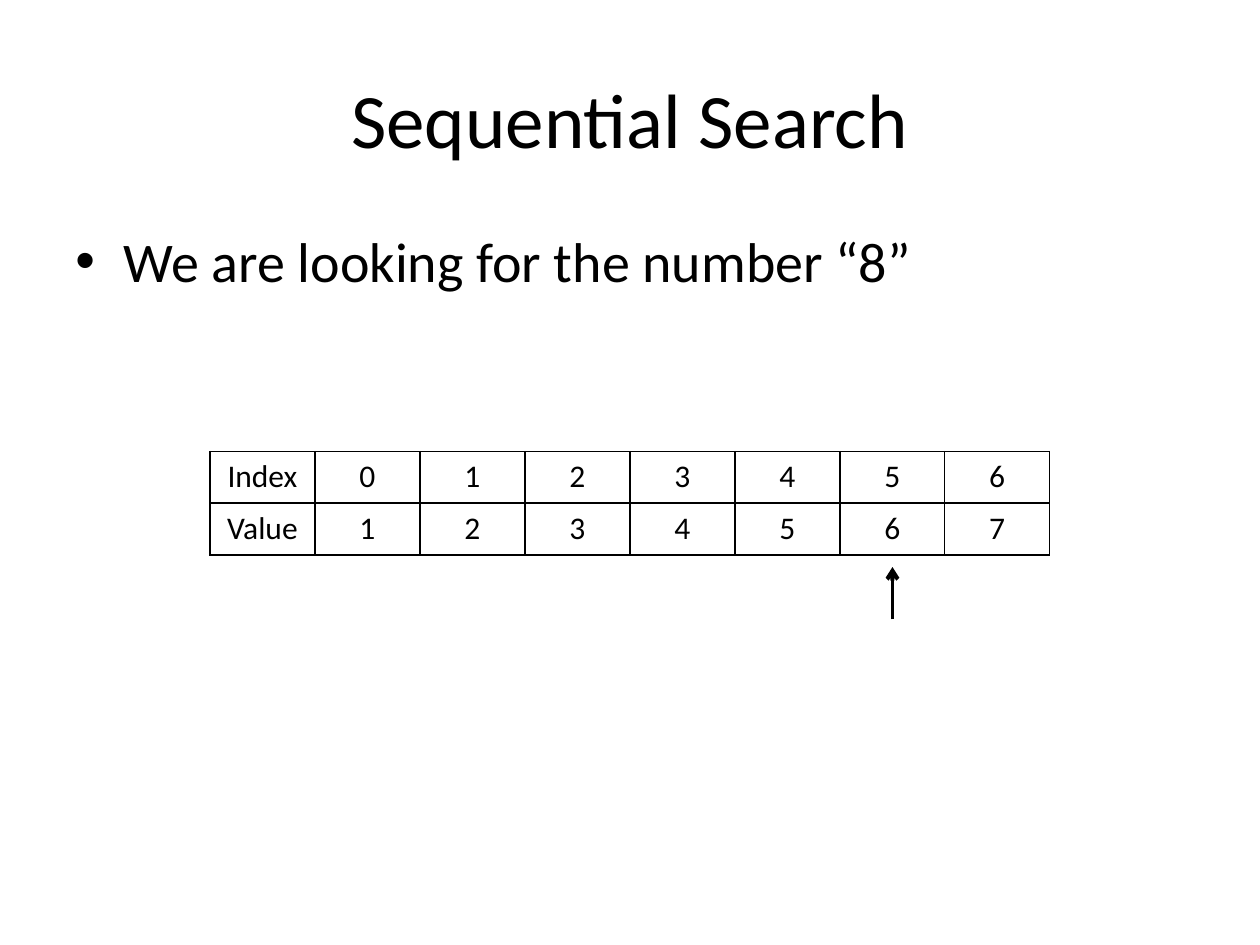
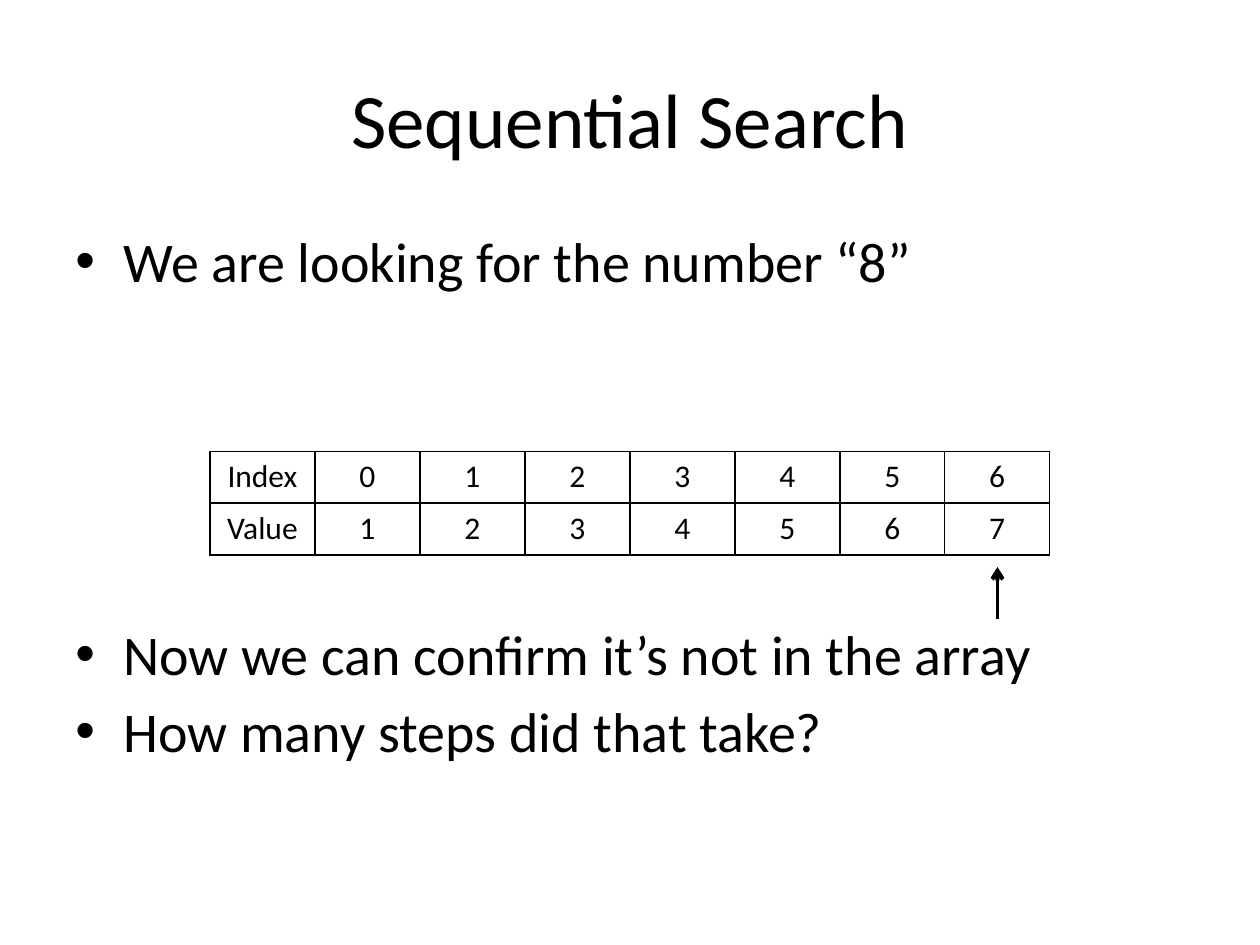
from dataclasses import dataclass

from lxml.etree import SubElement
from pptx import Presentation
from pptx.dml.color import RGBColor
from pptx.enum.shapes import MSO_CONNECTOR
from pptx.enum.text import MSO_ANCHOR, PP_ALIGN
from pptx.oxml.ns import qn
from pptx.util import Inches, Pt

COLORS = {"ink": "000000", "paper": "FFFFFF"}
FONT = "Calibri"
WIDTH, HEIGHT = Inches(10), Inches(7.5)
COLUMN, ROW = WIDTH / 12, HEIGHT / 90
TABLE_LEFT, TABLE_TOP = 2, 43
ARROW_TIP, ARROW_FOOT = 54, 59
CELL_HEIGHT = Inches(0.41)
INDENT = Inches(0.38)
BULLET_GAP, TABLE_GAP = Pt(6), Pt(186)
ARRAY = [
    ["Index", "0", "1", "2", "3", "4", "5", "6"],
    ["Value", "1", "2", "3", "4", "5", "6", "7"],
]


@dataclass(frozen=True)
class Area:
    left: float
    top: float
    width: float
    height: float


@dataclass(frozen=True)
class Step:
    checked_index: int
    conclusions: tuple[str, ...] = ()


TITLE_AREA = Area(0.05, 0.04, 0.9, 0.17)
BODY_AREA = Area(0.05, 0.233, 0.9, 0.66)
STEPS = [
    Step(5),
    Step(6, ("Now we can confirm it’s not in the array", "How many steps did that take?")),
]


def ink() -> RGBColor:
    return RGBColor.from_string(COLORS["ink"])


def add_span(para, text: str, size: int) -> None:
    span = para.add_run()
    span.text = text
    span.font.name = FONT
    span.font.size = Pt(size)
    span.font.color.rgb = ink()


def add_box(page, area: Area, anchor: MSO_ANCHOR):
    box = page.shapes.add_textbox(
        round(area.left * WIDTH), round(area.top * HEIGHT),
        round(area.width * WIDTH), round(area.height * HEIGHT),
    )
    frame = box.text_frame
    frame.word_wrap = True
    frame.vertical_anchor = anchor
    return frame


def add_title(page) -> None:
    para = add_box(page, TITLE_AREA, MSO_ANCHOR.MIDDLE).paragraphs[0]
    para.alignment = PP_ALIGN.CENTER
    add_span(para, "Sequential Search", 44)


def add_bullet(para, text: str, gap: Pt) -> None:
    para.space_before = gap
    properties = para._p.get_or_add_pPr()
    properties.set("marL", str(INDENT))
    properties.set("indent", str(-INDENT))
    SubElement(properties, qn("a:buFont")).set("typeface", "Arial")
    SubElement(properties, qn("a:buChar")).set("char", "•")
    add_span(para, text, 32)


def add_body(page, conclusions: tuple[str, ...]) -> None:
    frame = add_box(page, BODY_AREA, MSO_ANCHOR.TOP)
    add_bullet(frame.paragraphs[0], "We are looking for the number “8”", BULLET_GAP)
    for number, text in enumerate(conclusions):
        add_bullet(frame.add_paragraph(), text, BULLET_GAP if number else TABLE_GAP)


def add_borders(cell) -> None:
    properties = cell._tc.get_or_add_tcPr()
    for position, side in enumerate(("lnL", "lnR", "lnT", "lnB")):
        line = SubElement(properties, qn(f"a:{side}"), w=str(Pt(1)))
        fill = SubElement(line, qn("a:solidFill"))
        SubElement(fill, qn("a:srgbClr")).set("val", COLORS["ink"])
        properties.insert(position, line)


def add_array(page) -> None:
    rows, columns = len(ARRAY), len(ARRAY[0])
    table = page.shapes.add_table(
        rows, columns, round(TABLE_LEFT * COLUMN), round(TABLE_TOP * ROW),
        round(columns * COLUMN), rows * CELL_HEIGHT,
    ).table
    table.first_row = False
    table.horz_banding = False
    for row, values in enumerate(ARRAY):
        for column, value in enumerate(values):
            cell = table.cell(row, column)
            cell.fill.background()
            add_borders(cell)
            para = cell.text_frame.paragraphs[0]
            para.alignment = PP_ALIGN.CENTER
            add_span(para, value, 18)


def add_pointer(page, index: int) -> None:
    center = round((TABLE_LEFT + 1 + index + 0.5) * COLUMN)
    pointer = page.shapes.add_connector(
        MSO_CONNECTOR.STRAIGHT, center, round(ARROW_FOOT * ROW), center, round(ARROW_TIP * ROW)
    )
    pointer.line.color.rgb = ink()
    pointer.line.width = Pt(2.25)
    SubElement(pointer.line._get_or_add_ln(), qn("a:tailEnd")).set("type", "arrow")
    SubElement(pointer._element.spPr, qn("a:effectLst"))


def add_page(deck, step: Step) -> None:
    page = deck.slides.add_slide(deck.slide_layouts[6])
    page.background.fill.solid()
    page.background.fill.fore_color.rgb = RGBColor.from_string(COLORS["paper"])
    add_title(page)
    add_body(page, step.conclusions)
    add_array(page)
    add_pointer(page, step.checked_index)


def main() -> None:
    deck = Presentation()
    deck.slide_width, deck.slide_height = WIDTH, HEIGHT
    for step in STEPS:
        add_page(deck, step)
    deck.save("out.pptx")


if __name__ == "__main__":
    main()
